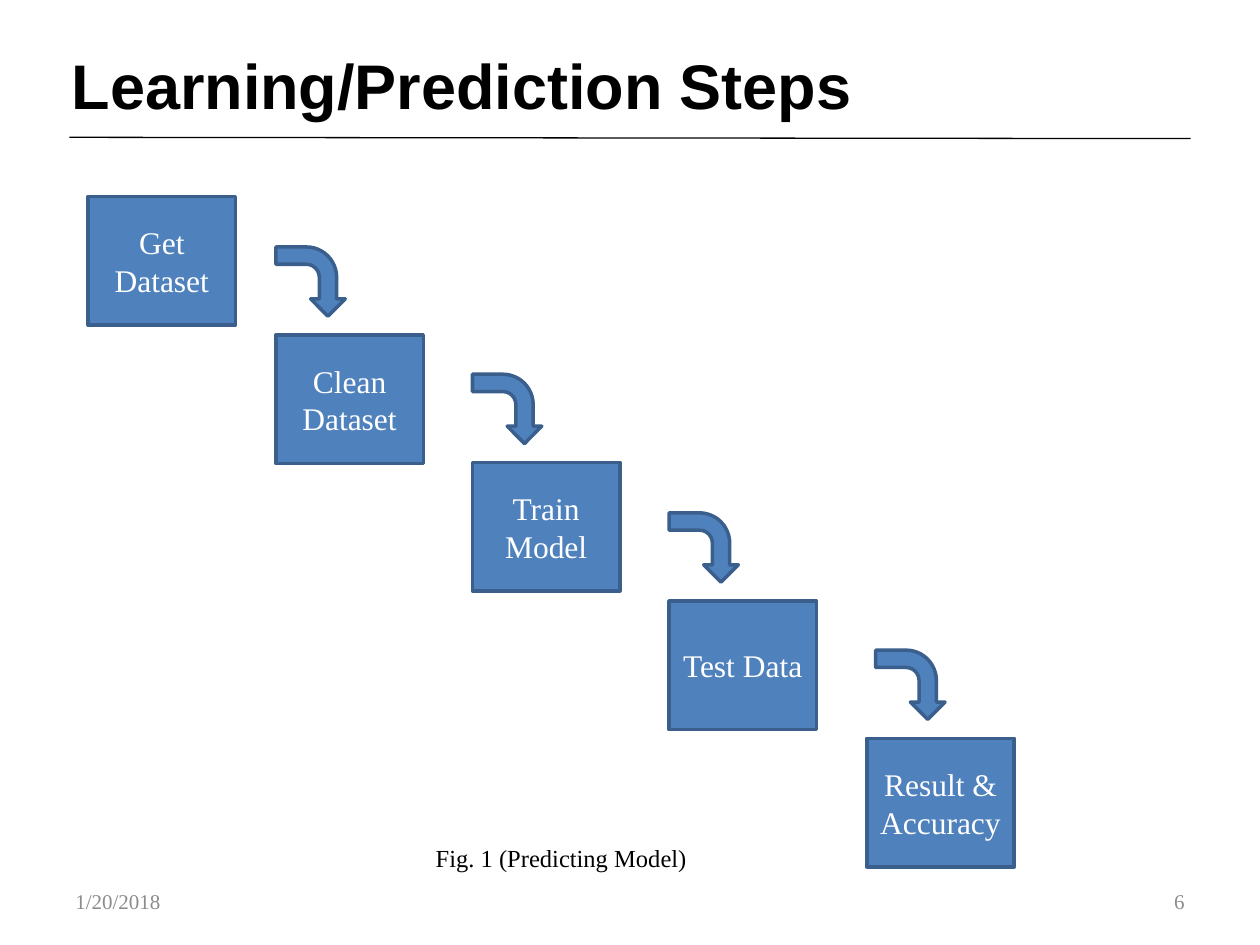
"""Build a slide with a staircase of learning and prediction steps."""
from lxml.etree import SubElement
from pptx import Presentation
from pptx.dml.color import RGBColor
from pptx.enum.shapes import MSO_CONNECTOR, MSO_SHAPE
from pptx.enum.text import MSO_ANCHOR, PP_ALIGN
from pptx.oxml.ns import qn
from pptx.util import Inches, Pt

SERIF = "Times New Roman"
BLACK, GRAY, WHITE = "000000", "8C8C8C", "FFFFFF"
BLUE, EDGE = "4F81BD", "3A5F8C"
LEFT, MID, RIGHT = PP_ALIGN.LEFT, PP_ALIGN.CENTER, PP_ALIGN.RIGHT
CENTER, TOP = MSO_ANCHOR.MIDDLE, MSO_ANCHOR.TOP

STEPS = [
    ("Get Dataset", 0.7, 1.56),
    ("Clean Dataset", 2.19, 2.66),
    ("Train Model", 3.75, 3.67),
    ("Test Data", 5.31, 4.77),
    ("Result & Accuracy", 6.88, 5.86),
]
BOX_W, BOX_H = 1.17, 1.02
ARROW, RISE = 0.55, 0.7
SHIFTS = [0, 0, 0, 0.07]

LABELS = [
    ("Learning/Prediction Steps", (0.47, 0.16, 9, 1.02), "Arial", 36, BLACK, LEFT, CENTER),
    ("1/20/2018", (0.5, 6.95, 2.33, 0.4), SERIF, 12, GRAY, LEFT, CENTER),
    ("6", (7.17, 6.95, 2.33, 0.4), SERIF, 12, GRAY, RIGHT, CENTER),
    ("Fig. 1 (Predicting Model)", (3.36, 6.64, 2.58, 0.34), SERIF, 14, BLACK, LEFT, TOP),
]


def color(code):
    return RGBColor.from_string(code)


def write(shape, text, font, size, ink, align, anchor):
    frame = shape.text_frame
    frame.text = text
    frame.word_wrap = True
    frame.vertical_anchor = anchor
    para = frame.paragraphs[0]
    para.alignment = align
    style = para.runs[0].font
    style.name, style.size = font, Pt(size)
    style.bold = font == "Arial"
    style.color.rgb = color(ink)


def draw(kind, *place):
    shape = slide.shapes.add_shape(kind, *map(Inches, place))
    shape.shadow.inherit = False
    shape.fill.solid()
    shape.fill.fore_color.rgb = color(BLUE)
    shape.line.color.rgb = color(EDGE)
    shape.line.width = Pt(2)
    return shape


deck = Presentation()
deck.slide_width, deck.slide_height = Inches(10), Inches(7.5)
slide = deck.slides.add_slide(deck.slide_layouts[6])

for text, place, *style in LABELS:
    write(slide.shapes.add_textbox(*map(Inches, place)), text, *style)

rule = slide.shapes.add_connector(
    MSO_CONNECTOR.STRAIGHT, Inches(0.55), Inches(1.09), Inches(9.45), Inches(1.1))
rule.line.color.rgb = color(BLACK)
rule.line.width = Pt(0.75)
SubElement(rule.element.spPr, qn("a:effectLst"))

for text, left, top in STEPS:
    box = draw(MSO_SHAPE.RECTANGLE, left, top, BOX_W, BOX_H)
    write(box, text, SERIF, 18, WHITE, MID, CENTER)

for (text, left, top), shift in zip(STEPS[1:], SHIFTS):
    bend = draw(MSO_SHAPE.BENT_ARROW, left + shift, top - RISE, ARROW, ARROW)
    bend.rotation = 90

deck.save("out.pptx")
